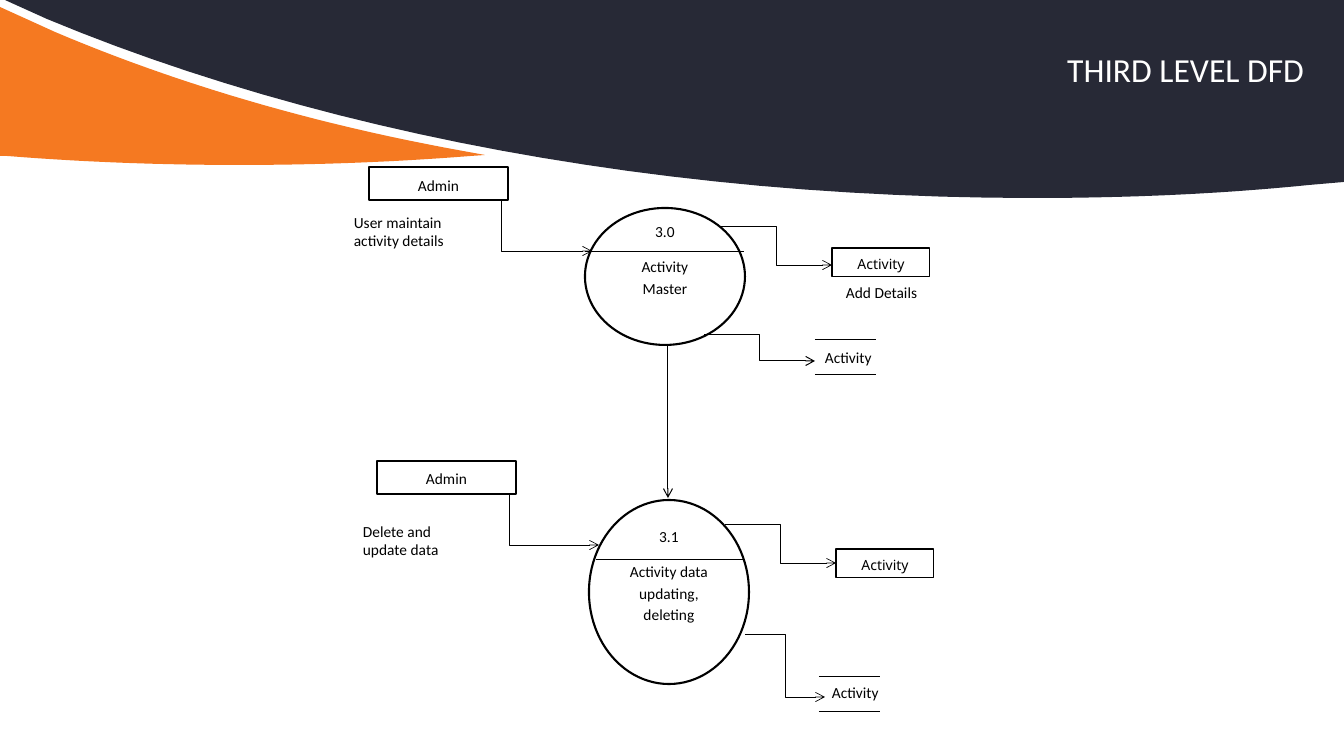
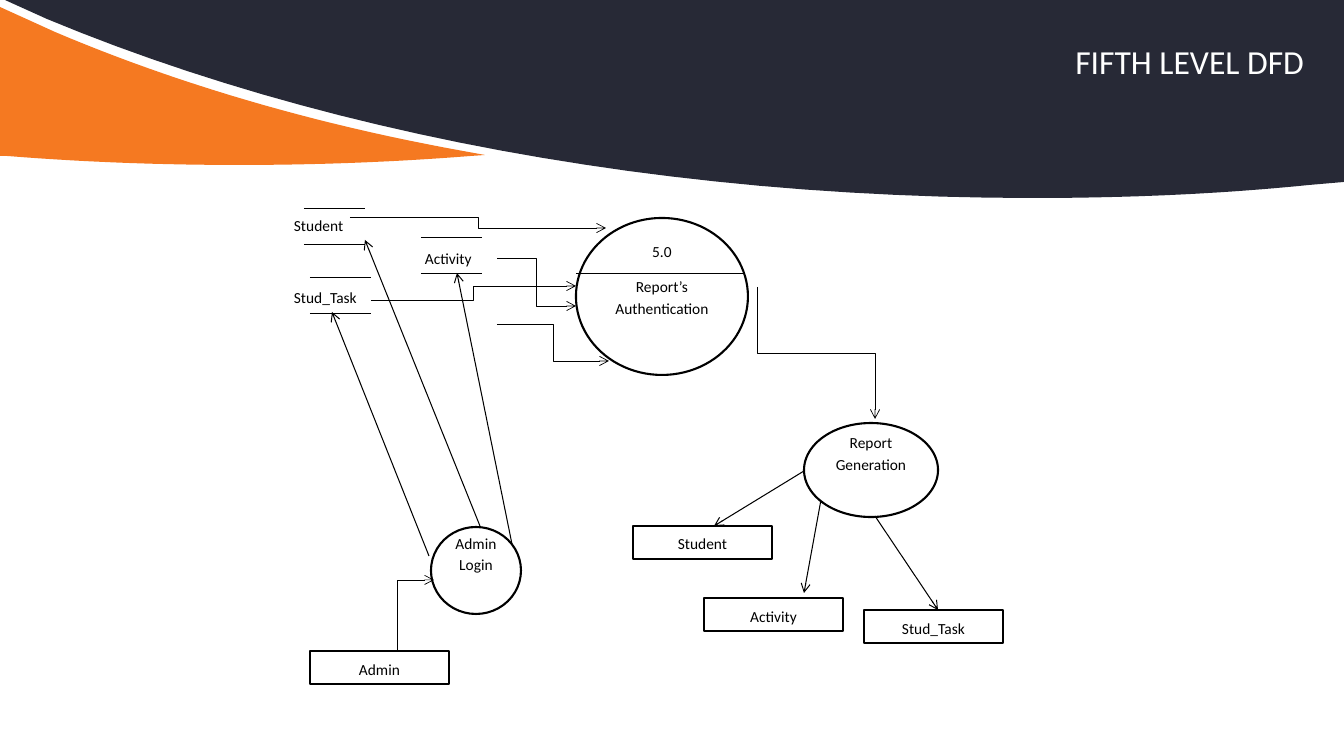
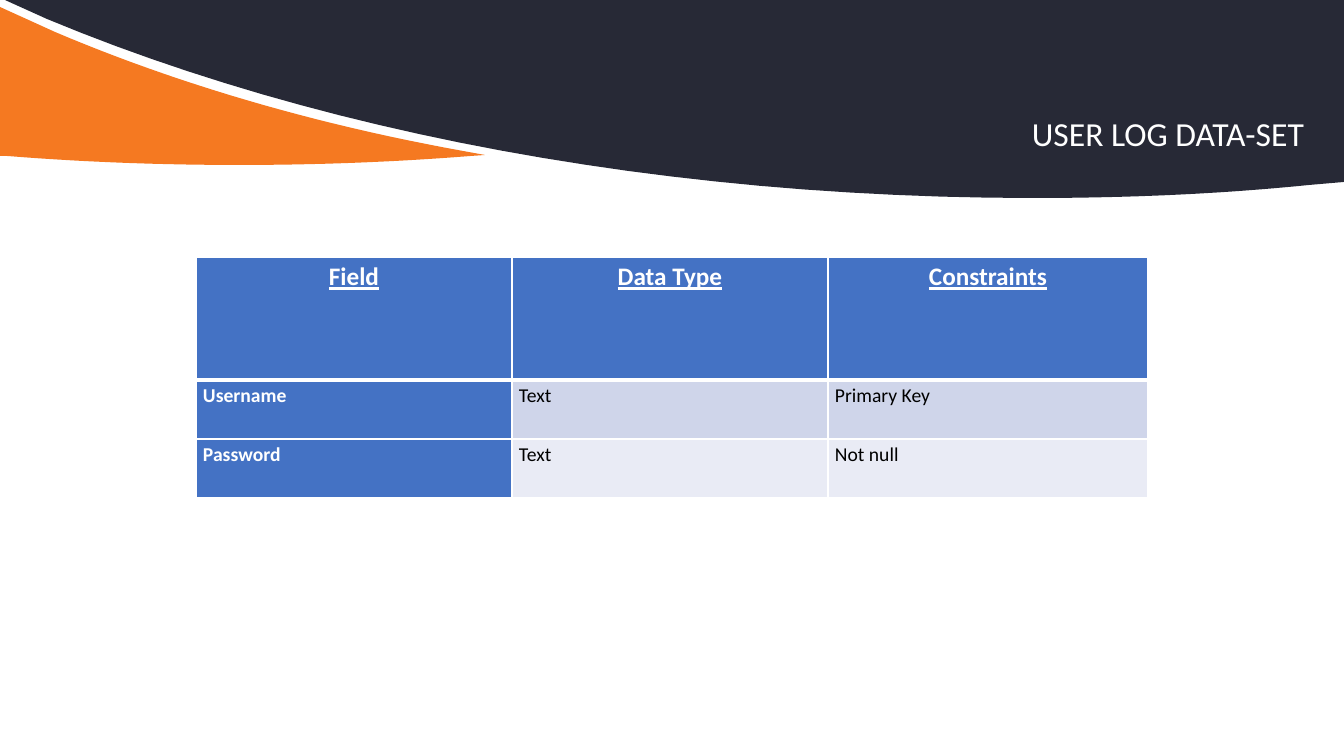
from lxml import etree
from pptx import Presentation
from pptx.dml.color import RGBColor
from pptx.enum.shapes import MSO_CONNECTOR, MSO_SHAPE
from pptx.enum.text import MSO_ANCHOR, MSO_AUTO_SIZE, PP_ALIGN
from pptx.oxml.ns import qn
from pptx.util import Emu, Pt

EMU_PER_PX = 914400 / 100.8
STRAIGHT, ELBOW = MSO_CONNECTOR.STRAIGHT, MSO_CONNECTOR.ELBOW
OVAL, BOX = MSO_SHAPE.OVAL, MSO_SHAPE.RECTANGLE
TOP, MIDDLE = MSO_ANCHOR.TOP, MSO_ANCHOR.MIDDLE
LEFT, CENTER, RIGHT = PP_ALIGN.LEFT, PP_ALIGN.CENTER, PP_ALIGN.RIGHT
GROW = MSO_AUTO_SIZE.SHAPE_TO_FIT_TEXT

BLACK, WHITE = "000000", "FFFFFF"
NAVY, ORANGE = "272936", "F57921"
BLUE, BANDS = "4472C4", ("CFD5EA", "E9EBF5")

BODY = {"name": "Calibri", "size": Pt(11)}
SMALL = {"name": "Noto Sans", "size": Pt(10)}
TITLE = {"name": "Calibri", "size": Pt(24)}
HEADING = {"name": "Calibri", "size": Pt(18), "bold": True, "underline": True}
FIELD = {"name": "Calibri", "size": Pt(14), "bold": True}
VALUE = {"name": "Calibri", "size": Pt(14), "bold": False}
NODE_PARAGRAPH = {"alignment": CENTER, "line_spacing": 1.15, "space_after": Pt(10)}

WAVES = (
    (NAVY, (5, 0), [(1344, 0), (1344, 182), (1309, 185),
                    (1220, 194, 1128, 198, 1034, 198),
                    (659, 198, 316, 131, 47, 19)]),
    (ORANGE, (0, 7), [(55, 32), (175, 83, 313, 124, 463, 151), (485, 155),
                      (471, 156), (395, 162, 318, 165, 239, 165),
                      (160, 165, 82, 162, 7, 156), (0, 156)]),
)


def px(length):
    """Turn pixels into EMU."""
    return Emu(round(length * EMU_PER_PX))


def rgb(color):
    """Turn a hex string into a colour."""
    return RGBColor.from_string(color)


def apply(target, values):
    """Set each attribute named in values."""
    for name, value in values.items():
        setattr(target, name, value)


def write(frame, texts, font, color, paragraph_format, frame_format):
    """Fill a text frame with one formatted paragraph per text."""
    apply(frame, {"word_wrap": True, **frame_format})
    frame.text = "\n".join(texts)
    for paragraph in frame.paragraphs:
        apply(paragraph, paragraph_format)
        apply(paragraph.font, font)
        paragraph.font.color.rgb = rgb(color)


def curve(start, segment, steps=24):
    """Return the points of a straight or cubic segment."""
    if len(segment) == 2:
        return [segment]
    controls = [start, segment[:2], segment[2:4], segment[4:]]
    points = []
    for step in range(1, steps + 1):
        t = step / steps
        weights = ((1 - t) ** 3, 3 * t * (1 - t) ** 2, 3 * t * t * (1 - t), t ** 3)
        points.append(tuple(sum(w * c[axis] for w, c in zip(weights, controls))
                            for axis in (0, 1)))
    return points


def wave(slide, color, start, segments):
    """Draw one curved band of the header."""
    outline = [start]
    for segment in segments:
        outline += curve(outline[-1], segment)
    corners = [(px(x), px(y)) for x, y in outline]
    builder = slide.shapes.build_freeform(*corners[0])
    builder.add_line_segments(corners[1:], close=True)
    band = builder.convert_to_shape()
    band.shadow.inherit = False
    band.fill.solid()
    band.fill.fore_color.rgb = rgb(color)
    band.line.fill.background()


def add_slide(deck, title, title_top):
    """Add a slide with the header waves and its title."""
    slide = deck.slides.add_slide(deck.slide_layouts[6])
    for color, start, segments in WAVES:
        wave(slide, color, start, segments)
    heading = slide.shapes.add_textbox(px(336), px(title_top), px(1008), px(79))
    write(heading.text_frame, [title], TITLE, WHITE,
          {"alignment": RIGHT, "line_spacing": 0.9},
          {"margin_right": px(40), "vertical_anchor": TOP})
    return slide


def node(slide, preset, area, texts, weight, font, frame_format):
    """Draw an outlined white shape with centred text."""
    outline = slide.shapes.add_shape(preset, *map(px, area))
    outline.shadow.inherit = False
    outline.fill.solid()
    outline.fill.fore_color.rgb = rgb(WHITE)
    outline.line.color.rgb = rgb(BLACK)
    outline.line.width = Pt(weight)
    write(outline.text_frame, texts, font, BLACK, NODE_PARAGRAPH,
          {"vertical_anchor": MIDDLE, **frame_format})


def process(slide, area, *texts):
    """Draw a process ellipse with its text raised above the middle."""
    node(slide, OVAL, area, texts, 1.5, BODY, {"margin_bottom": px(41)})


def entity(slide, x, y, name):
    """Draw an external entity box."""
    node(slide, BOX, (x, y, 139, 33), [name], 1, BODY, {})


def output(slide, x, y, name):
    """Draw a small output box."""
    node(slide, BOX, (x, y, 98, 29), [name], 0.75, SMALL, {})


def label(slide, x, y, width, height, text):
    """Place a free label."""
    caption = slide.shapes.add_textbox(*map(px, (x, y, width, height)))
    write(caption.text_frame, [text], BODY, BLACK, {"alignment": LEFT},
          {"auto_size": GROW})


def line(slide, ends, weight=0.5, kind=STRAIGHT, arrow=False):
    """Draw a connector, with an open arrowhead if asked."""
    connector = slide.shapes.add_connector(kind, *map(px, ends))
    connector.line.color.rgb = rgb(BLACK)
    connector.line.width = Pt(weight)
    properties = connector._element.spPr
    if arrow:
        etree.SubElement(properties.find(qn("a:ln")), qn("a:tailEnd"), type="arrow")
    etree.SubElement(properties, qn("a:effectLst"))
    return connector


def flow(slide, *ends, weight=0.5):
    """Draw an elbow arrow."""
    return line(slide, ends, weight, ELBOW, True)


def arrow(slide, *ends):
    """Draw a straight arrow."""
    return line(slide, ends, 0.75, STRAIGHT, True)


def store(slide, x, y, height, name, name_x, name_y, name_width):
    """Draw a data store as two rules with a label."""
    for rule_y in (y, y + height):
        line(slide, (x, rule_y, x + 61, rule_y))
    label(slide, name_x, name_y, name_width, 29, name)


def border(cell, top, bottom):
    """Give a cell white borders."""
    properties = cell._tc.get_or_add_tcPr()
    for side, weight in (("L", 1), ("R", 1), ("T", top), ("B", bottom)):
        edge = etree.SubElement(properties, qn(f"a:ln{side}"), w=str(Pt(weight)))
        fill = etree.SubElement(edge, qn("a:solidFill"))
        etree.SubElement(fill, qn("a:srgbClr"), val=WHITE)


def data_table(slide, x, y, widths, heights, rows):
    """Draw a table with a header row, a header column and banded rows."""
    table = slide.shapes.add_table(len(rows), len(widths), px(x), px(y),
                                   px(sum(widths)), px(sum(heights))).table
    apply(table, {"first_row": False, "horz_banding": False})
    for column, width in zip(table.columns, widths):
        column.width = px(width)
    for r, (row, height) in enumerate(zip(rows, heights)):
        table.rows[r].height = px(height)
        for c, text in enumerate(row):
            cell = table.cell(r, c)
            header = r == 0
            dark = header or c == 0
            apply(cell, {"margin_left": px(7), "margin_right": px(7),
                         "margin_top": 0, "margin_bottom": 0})
            border(cell, 3 if r == 1 else 1, 3 if header else 1)
            cell.fill.solid()
            cell.fill.fore_color.rgb = rgb(BLUE if dark else BANDS[(r - 1) % 2])
            font = HEADING if header else FIELD if dark else VALUE
            write(cell.text_frame, [text], font, WHITE if dark else BLACK,
                  {"alignment": CENTER if header else LEFT, "line_spacing": 1.15}, {})


def third_level(deck):
    """Build the activity data flow slide."""
    slide = add_slide(deck, "THIRD LEVEL DFD", 48)
    process(slide, (585, 208, 160, 137), "3.0", "Activity Master")
    process(slide, (589, 500, 160, 184), "3.1", "Activity data updating, deleting")
    line(slide, (585, 251, 744, 251))
    line(slide, (596, 559, 745, 559))
    entity(slide, 369, 167, "Admin")
    entity(slide, 377, 461, "Admin")
    output(slide, 832, 248, "Activity")
    output(slide, 836, 549, "Activity")
    flow(slide, 411, 200, 592, 251)
    flow(slide, 419, 494, 599, 545)
    flow(slide, 720, 226, 832, 265)
    flow(slide, 704, 335, 815, 361, weight=0.75)
    flow(slide, 725, 524, 836, 563)
    flow(slide, 745, 634, 825, 697)
    arrow(slide, 668, 346, 668, 498)
    store(slide, 815, 339, 35, "Activity", 815, 343, 93)
    store(slide, 819, 676, 35, "Activity", 822, 678, 93)
    label(slide, 344, 208, 147, 47, "User maintain activity details")
    label(slide, 836, 278, 93, 29, "Add Details")
    label(slide, 353, 517, 118, 47, "Delete and update data")


def fifth_level(deck):
    """Build the report data flow slide."""
    slide = add_slide(deck, "FIFTH LEVEL DFD", 40)
    process(slide, (576, 218, 172, 157), "5.0", "Report’s Authentication")
    process(slide, (431, 527, 90, 87), "Admin Login")
    process(slide, (804, 423, 134, 94), "Report Generation")
    line(slide, (576, 273, 743, 273))
    entity(slide, 310, 651, "Admin")
    entity(slide, 704, 598, "Activity")
    entity(slide, 864, 610, "Stud_Task")
    entity(slide, 633, 526, "Student")
    store(slide, 304, 208, 36, "Student", 284, 211, 83)
    store(slide, 310, 277, 36, "Stud_Task", 284, 283, 95)
    store(slide, 421, 237, 36, "Activity", 415, 244, 83)
    flow(slide, 360, 650, 434, 580)
    flow(slide, 350, 217, 606, 228)
    flow(slide, 497, 324, 609, 361)
    flow(slide, 497, 258, 576, 306)
    flow(slide, 371, 300, 576, 286)
    report_flow = flow(slide, 882, 294, 750, 412)
    report_flow._element.spPr.xfrm.set("rot", "16200000")
    arrow(slide, 480, 526, 365, 240)
    arrow(slide, 429, 556, 332, 312)
    arrow(slide, 512, 544, 457, 273)
    arrow(slide, 875, 516, 938, 610)
    arrow(slide, 821, 500, 804, 593)
    arrow(slide, 804, 471, 714, 526)


def user_log(deck):
    """Build the user log table slide."""
    slide = add_slide(deck, "USER LOG DATA-SET", 112)
    data_table(slide, 196, 257, (316, 316, 320), (123, 59, 59), (
        ("Field", "Data Type", "Constraints"),
        ("Username", "Text", "Primary Key"),
        ("Password", "Text", "Not null"),
    ))


def main():
    """Build and save the deck."""
    deck = Presentation()
    apply(deck, {"slide_width": px(1344), "slide_height": px(756)})
    for build in (third_level, fifth_level, user_log):
        build(deck)
    deck.save("out.pptx")


if __name__ == "__main__":
    main()
